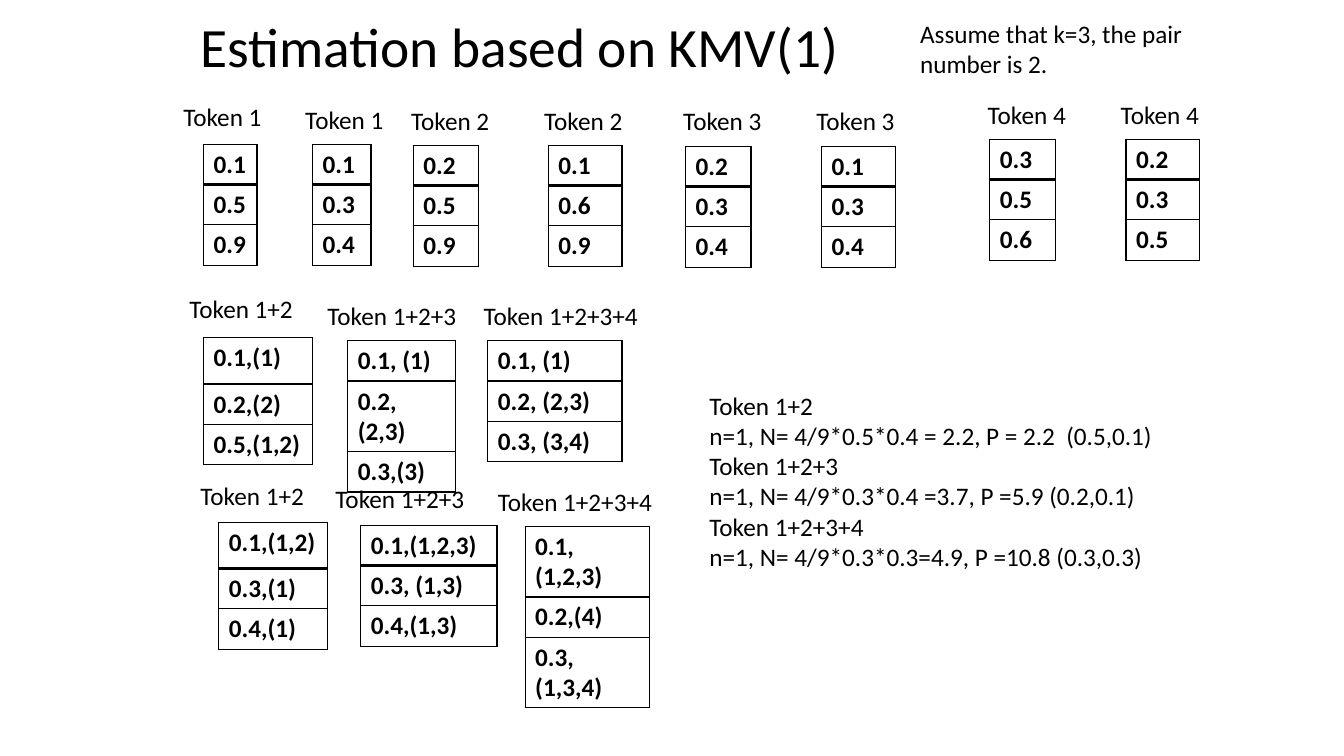
from dataclasses import dataclass

from lxml.etree import SubElement
from pptx import Presentation
from pptx.dml.color import RGBColor
from pptx.enum.text import MSO_ANCHOR, MSO_AUTO_SIZE
from pptx.oxml.ns import qn
from pptx.util import Inches, Pt


@dataclass(frozen=True)
class Theme:
    font: str = "Calibri"
    ink: str = "000000"
    title_size: float = 39.6
    body_size: float = 18
    line: float = 1
    heavy_line: float = 2


@dataclass(frozen=True)
class Sketch:
    label: str
    label_at: tuple
    table_at: tuple
    width: float
    values: tuple
    first_row: float = 4


THEME = Theme()
GRID_STEP = 0.1
SLIDE_COLUMNS, SLIDE_ROWS = 133.33, 75
LABEL_ROWS = 4
LABEL_COLUMNS = 16.3
LONG_LABEL_COLUMNS = 18.7
VALUE_ROWS = 4

SINGLE_TOKENS = (
    Sketch("Token 1", (17.2, 9.6), (20.2, 14.3), 5.3, ("0.1", "0.5", "0.9")),
    Sketch("Token 1", (29.3, 9.9), (31, 14.3), 5.8, ("0.1", "0.3", "0.4")),
    Sketch("Token 2", (39.8, 10), (41, 14.4), 6.5, ("0.2", "0.5", "0.9")),
    Sketch("Token 2", (53, 10), (54.4, 14.4), 7.3, ("0.1", "0.6", "0.9")),
    Sketch("Token 3", (66.8, 10), (68, 14.5), 6.5, ("0.2", "0.3", "0.4")),
    Sketch("Token 3", (80, 10), (81.5, 14.5), 7.3, ("0.1", "0.3", "0.4")),
    Sketch("Token 4", (97, 9.4), (98.2, 13.8), 6.5, ("0.3", "0.5", "0.6")),
    Sketch("Token 4", (110.2, 9.4), (111.7, 13.8), 7.3, ("0.2", "0.3", "0.5")),
)
FIRST_UNIONS = (
    Sketch("Token 1+2", (17.8, 28.6), (20.2, 33.5), 10.8,
           ("0.1,(1)", "0.2,(2)", "0.5,(1,2)"), 4.6),
    Sketch("Token 1+2+3", (31.5, 29.3), (34.5, 33.8), 10.7,
           ("0.1, (1)", "0.2, (2,3)", "0.3,(3)")),
    Sketch("Token 1+2+3+4", (47, 29.3), (48.4, 33.8), 13.3,
           ("0.1, (1)", "0.2, (2,3)", "0.3, (3,4)")),
)
SECOND_UNIONS = (
    Sketch("Token 1+2", (18.9, 47.2), (21.7, 51.8), 10.8,
           ("0.1,(1,2)", "0.3,(1)", "0.4,(1)"), 4.6),
    Sketch("Token 1+2+3", (32.3, 47.5), (35.8, 52.1), 13.5,
           ("0.1,(1,2,3)", "0.3, (1,3)", "0.4,(1,3)")),
    Sketch("Token 1+2+3+4", (48.4, 47.8), (52.1, 52.2), 12.3,
           ("0.1,(1,2,3)", "0.2,(4)", "0.3,(1,3,4)")),
)
ESTIMATES = (
    "Token 1+2",
    "n=1, N= 4/9*0.5*0.4 = 2.2, P = 2.2  (0.5,0.1)",
    "Token 1+2+3",
    "n=1, N= 4/9*0.3*0.4 =3.7, P =5.9 (0.2,0.1)",
    "Token 1+2+3+4",
    "n=1, N= 4/9*0.3*0.3=4.9, P =10.8 (0.3,0.3)",
)


def grid(*steps):
    return [Inches(step * GRID_STEP) for step in steps]


def write_text(frame, text, *, size=THEME.body_size, bold=False, line_spacing=None):
    frame.text = text
    for paragraph in frame.paragraphs:
        paragraph.line_spacing = line_spacing
        for run in paragraph.runs:
            run.font.name = THEME.font
            run.font.size = Pt(size)
            run.font.bold = bold
            run.font.color.rgb = RGBColor.from_string(THEME.ink)


def add_text(slide, text, box, *, anchor=MSO_ANCHOR.TOP,
             auto_size=MSO_AUTO_SIZE.SHAPE_TO_FIT_TEXT, **text_format):
    frame = slide.shapes.add_textbox(*grid(*box)).text_frame
    frame.word_wrap = True
    frame.auto_size = auto_size
    frame.vertical_anchor = anchor
    write_text(frame, text, **text_format)


def add_borders(cell, bottom):
    properties = cell._tc.get_or_add_tcPr()
    widths = {"L": THEME.line, "R": THEME.line, "T": THEME.line, "B": bottom}
    for side, width in widths.items():
        border = SubElement(properties, qn(f"a:ln{side}"), w=str(Pt(width)))
        fill = SubElement(border, qn("a:solidFill"))
        SubElement(fill, qn("a:srgbClr"), val=THEME.ink)


def add_value_table(slide, sketch):
    heights = [sketch.first_row] + [VALUE_ROWS] * (len(sketch.values) - 1)
    box = grid(*sketch.table_at, sketch.width, sum(heights))
    table = slide.shapes.add_table(len(heights), 1, *box).table
    table.first_row = False
    table.horz_banding = False
    for index, (value, height) in enumerate(zip(sketch.values, heights)):
        table.rows[index].height = grid(height)[0]
        cell = table.cell(index, 0)
        add_borders(cell, THEME.line if index else THEME.heavy_line)
        cell.fill.background()
        write_text(cell.text_frame, value, bold=True)


def add_sketch(slide, sketch):
    is_long = sketch.label.endswith("+4")
    width = LONG_LABEL_COLUMNS if is_long else LABEL_COLUMNS
    add_text(slide, sketch.label, (*sketch.label_at, width, LABEL_ROWS))
    add_value_table(slide, sketch)


def main():
    presentation = Presentation()
    presentation.slide_width, presentation.slide_height = grid(SLIDE_COLUMNS, SLIDE_ROWS)
    slide = presentation.slides.add_slide(presentation.slide_layouts[6])
    add_text(slide, "Estimation based on KMV(1)", (18.9, -0.1, 65.8, 10),
             anchor=MSO_ANCHOR.MIDDLE, auto_size=MSO_AUTO_SIZE.NONE,
             size=THEME.title_size, line_spacing=0.9)
    add_text(slide, "Assume that k=3, the pair number is 2.", (90.3, 1.3, 29.7, 7.1))
    for sketch in SINGLE_TOKENS + FIRST_UNIONS + SECOND_UNIONS:
        add_sketch(slide, sketch)
    add_text(slide, "\n".join(ESTIMATES), (69.4, 38.2, 49.6, 19.2))
    presentation.save("out.pptx")


if __name__ == "__main__":
    main()
